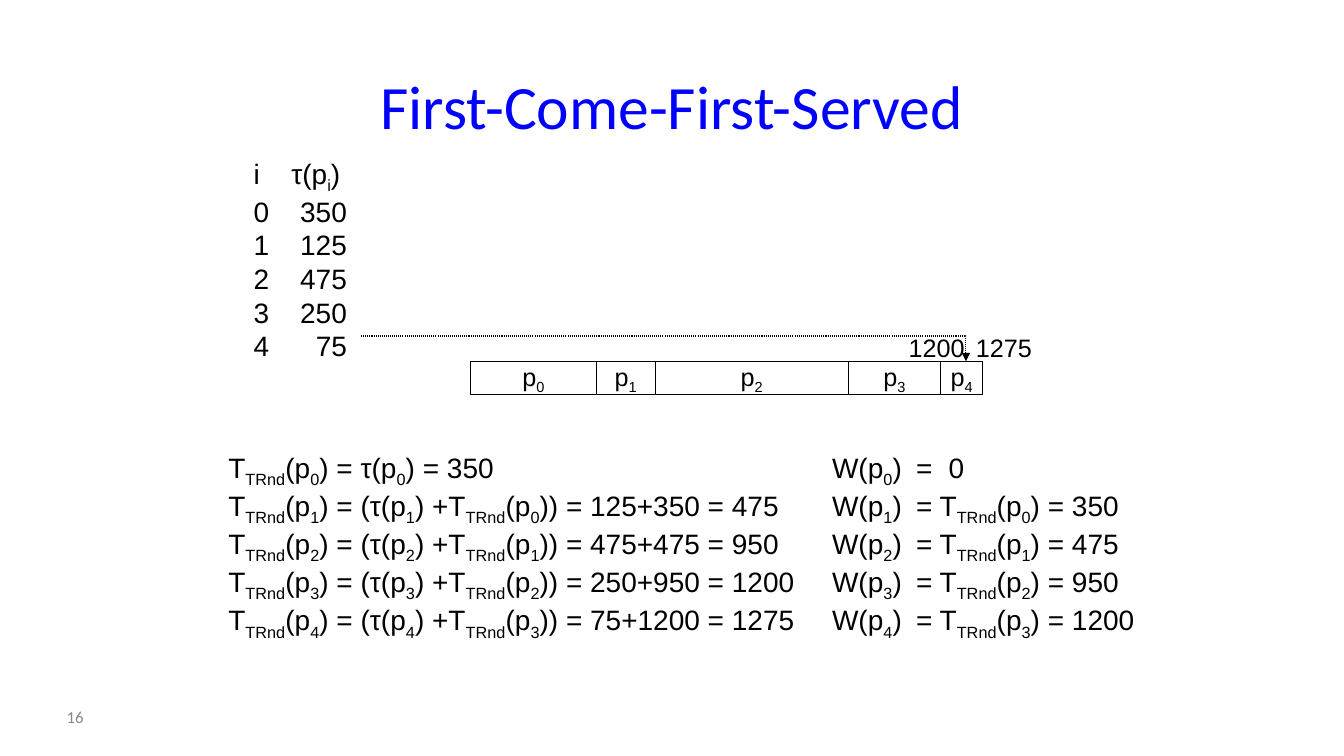
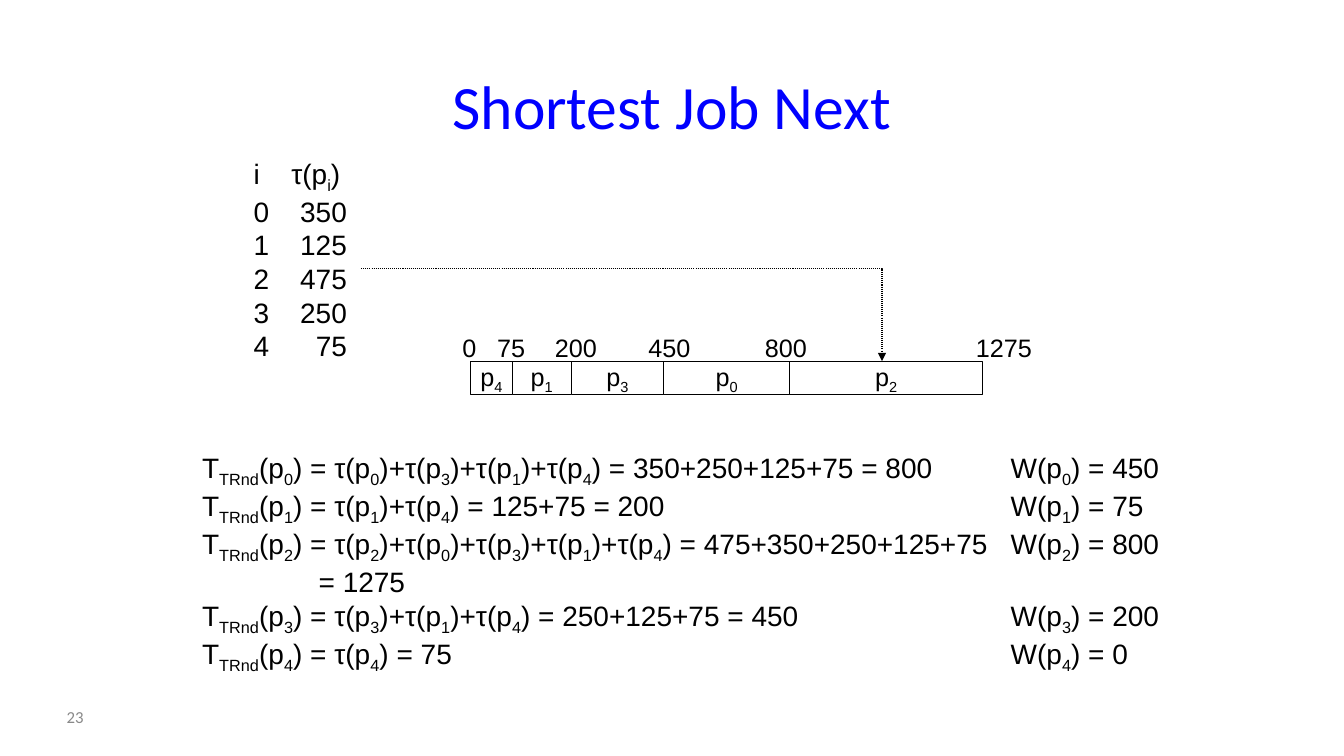
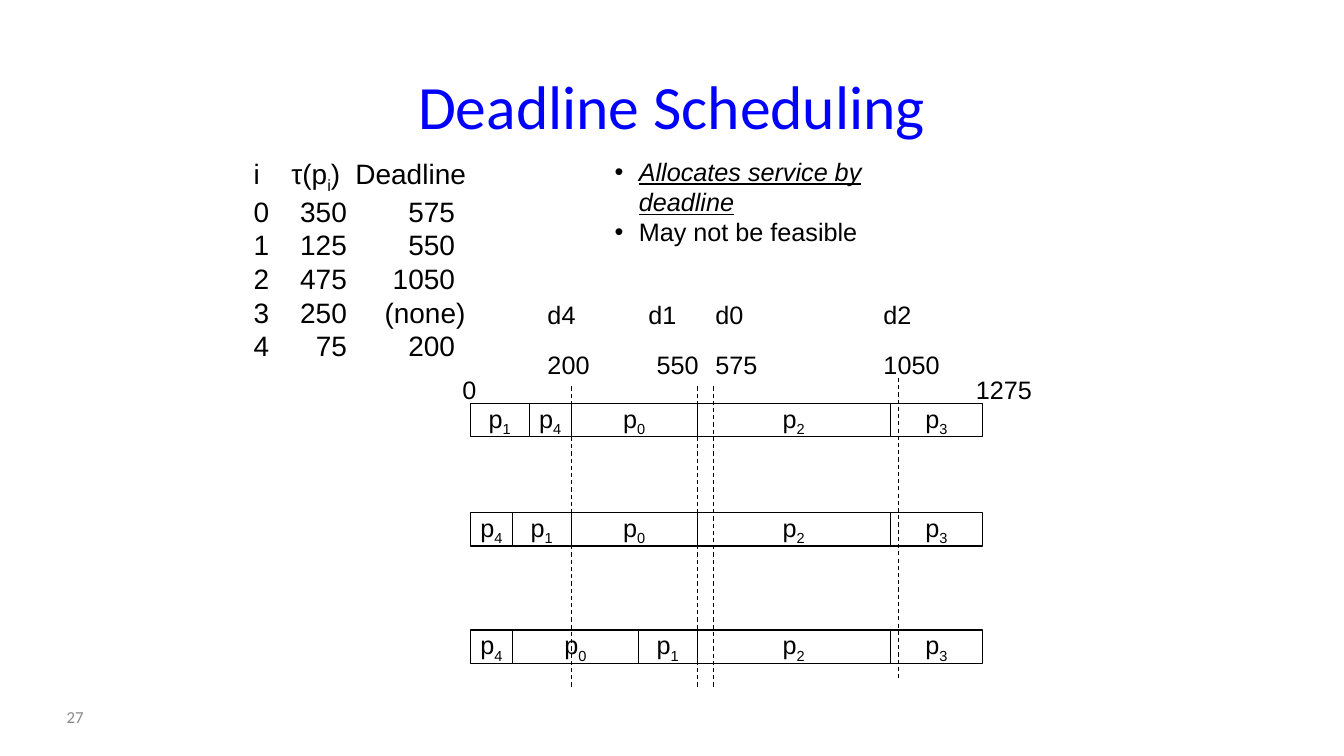
from dataclasses import dataclass
from itertools import accumulate
from typing import NamedTuple, Sequence

from lxml import etree
from pptx import Presentation
from pptx import util as u
from pptx.dml.color import RGBColor
from pptx.enum import dml, shapes, text
from pptx.oxml import ns
from pptx.slide import Slide
from pptx.text.text import TextFrame

PX = 9525
BLACK = RGBColor(0x00, 0x00, 0x00)
WHITE = RGBColor(0xFF, 0xFF, 0xFF)
BLUE = RGBColor(0x00, 0x00, 0xFF)
GREY = RGBColor(0x89, 0x89, 0x89)
BODY_FONT = "Arial"
TITLE_FONT = "Calibri"
LINE_WIDTH = u.Pt(0.75)

SERVICE_TIMES = (350, 125, 475, 250, 75)
DEADLINES = ("575", "550", "1050", "(none)", "200")
JOB_WIDTHS = (120, 56, 184, 88, 40)
BAR_LEFT = 448
BAR_HEIGHT = 32
BULLET_INDENT = 23
HEADER_TABS = ((36, "l"), (97, "l"))
NUMBER_TABS = ((89, "r"), (192, "r"))
NONE_TABS = ((89, "r"), (202, "r"))
EQUALS_TABS = ((80, "l"), (111, "l"))
CONTINUATION_TABS = ((111, "l"),)


class Box(NamedTuple):
    left: int
    top: int
    width: int
    height: int

    def emu(self) -> list[int]:
        return [px(length) for length in self]


class TimeMark(NamedTuple):
    left: int
    top: int
    label: str


class Deadline(NamedTuple):
    job: str
    time: str
    job_left: int
    time_left: int
    line_x: int
    line_top: int


@dataclass(frozen=True)
class Line:
    content: str
    tabs: Sequence[tuple[int, str]] = ()
    space_before: int = 0
    bullet: bool = False
    emphasis: bool = False


def px(length: int) -> int:
    return u.Emu(length * PX)


def sub(parent: etree._Element, tag: str, **attributes: str) -> etree._Element:
    return etree.SubElement(parent, ns.qn(tag), attributes)


def write_text(frame: TextFrame, lines: Sequence[Line], *, size: int = 20,
               font: str = BODY_FONT, color: RGBColor = BLACK,
               align: text.PP_ALIGN = text.PP_ALIGN.LEFT,
               anchor: text.MSO_ANCHOR = text.MSO_ANCHOR.TOP, wrap: bool = True) -> None:
    frame.word_wrap = wrap
    frame.vertical_anchor = anchor
    for index, line in enumerate(lines):
        paragraph = frame.add_paragraph() if index else frame.paragraphs[0]
        paragraph.alignment = align
        if line.space_before:
            paragraph.space_before = u.Pt(line.space_before)
        properties = paragraph._p.get_or_add_pPr()
        if line.bullet:
            properties.set("marL", str(px(BULLET_INDENT)))
            properties.set("indent", str(-px(BULLET_INDENT)))
            sub(properties, "a:buFont", typeface=BODY_FONT)
            sub(properties, "a:buChar", char="•")
        if line.tabs:
            tab_list = sub(properties, "a:tabLst")
            for position, side in line.tabs:
                sub(tab_list, "a:tab", pos=str(px(position)), algn=side)
        for part, piece in enumerate(line.content.replace("]", "[").split("[")):
            if not piece:
                continue
            run = paragraph.add_run()
            run.text = piece
            run.font.size = u.Pt(size)
            run.font.name = font
            run.font.color.rgb = color
            if line.emphasis:
                run.font.italic = True
                run.font.underline = True
            if part % 2:
                run._r.get_or_add_rPr().set("baseline", "-25000")


def add_text(slide: Slide, box: Box, *lines: Line, **style) -> None:
    write_text(slide.shapes.add_textbox(*box.emu()).text_frame, lines, **style)


def add_slide(deck: Presentation, title: str, number: int) -> Slide:
    slide = deck.slides.add_slide(deck.slide_layouts[6])
    add_text(slide, Box(232, 64, 816, 72), Line(title), size=44, font=TITLE_FONT,
             color=BLUE, align=text.PP_ALIGN.CENTER, anchor=text.MSO_ANCHOR.MIDDLE)
    add_text(slide, Box(54, 664, 138, 38), Line(str(number)), size=12, font=TITLE_FONT,
             color=GREY, anchor=text.MSO_ANCHOR.MIDDLE)
    return slide


def add_job_list(slide: Slide, with_deadlines: bool = False) -> None:
    header = "i\tτ(p[i])" + ("\tDeadline" if with_deadlines else "")
    lines = [Line(header, HEADER_TABS)]
    for job, (time, deadline) in enumerate(zip(SERVICE_TIMES, DEADLINES)):
        row = f"{job}\t{time}" + (f"\t{deadline}" if with_deadlines else "")
        lines.append(Line(row, NONE_TABS if deadline == "(none)" else NUMBER_TABS))
    add_text(slide, Box(232, 144, 230 if with_deadlines else 120, 204), *lines)


def add_gantt_bar(slide: Slide, top: int, order: Sequence[int]) -> None:
    left = BAR_LEFT
    for job in order:
        box = Box(left, top, JOB_WIDTHS[job], BAR_HEIGHT)
        block = slide.shapes.add_shape(shapes.MSO_SHAPE.RECTANGLE, *box.emu())
        block.shadow.inherit = False
        block.fill.solid()
        block.fill.fore_color.rgb = WHITE
        block.line.color.rgb = BLACK
        block.line.width = LINE_WIDTH
        write_text(block.text_frame, [Line(f"p[{job}]")], size=18, wrap=False,
                   align=text.PP_ALIGN.CENTER, anchor=text.MSO_ANCHOR.MIDDLE)
        left += JOB_WIDTHS[job]


def add_time_marks(slide: Slide, *marks: TimeMark) -> None:
    for mark in marks:
        box = Box(mark.left, mark.top, 20 + 14 * len(mark.label), 38)
        add_text(slide, box, Line(mark.label), size=18)


def add_job_arrow(slide: Slide, top: int, right: int) -> None:
    builder = slide.shapes.build_freeform(px(344), px(top))
    builder.add_line_segments([(px(right), px(top)), (px(right), px(344))], close=False)
    arrow = builder.convert_to_shape()
    arrow.shadow.inherit = False
    arrow.fill.background()
    arrow.line.color.rgb = BLACK
    arrow.line.width = LINE_WIDTH
    arrow.line.dash_style = dml.MSO_LINE.ROUND_DOT
    sub(arrow.line._get_or_add_ln(), "a:tailEnd", type="triangle")


def add_deadline_line(slide: Slide, x: int, top: int) -> None:
    line = slide.shapes.add_connector(shapes.MSO_CONNECTOR.STRAIGHT,
                                      px(x), px(top), px(x), px(top + 288))
    line.line.color.rgb = BLACK
    line.line.width = LINE_WIDTH
    line.line.dash_style = dml.MSO_LINE.DASH
    sub(line._element.spPr, "a:effectLst")


def build_first_come(deck: Presentation) -> None:
    slide = add_slide(deck, "First-Come-First-Served", 16)
    add_job_list(slide)
    add_gantt_bar(slide, 344, range(5))
    finish = list(accumulate(SERVICE_TIMES))
    turnarounds = [Line("T[TRnd](p[0]) = τ(p[0]) = 350")]
    waits = [Line("W(p[0])\t=\t0", EQUALS_TABS)]
    for job in range(1, 5):
        previous = f"T[TRnd](p[{job - 1}])"
        total = f"{SERVICE_TIMES[job]}+{finish[job - 1]} = {finish[job]}"
        turnarounds.append(Line(f"T[TRnd](p[{job}]) = (τ(p[{job}]) +{previous}) = {total}"))
        waits.append(Line(f"W(p[{job}])\t= {previous} = {finish[job - 1]}", EQUALS_TABS))
    add_text(slide, Box(208, 424, 578, 171), *turnarounds)
    add_text(slide, Box(783, 424, 319, 171), *waits)
    add_job_arrow(slide, 320, 920)
    add_time_marks(slide, TimeMark(856, 312, "1200"), TimeMark(920, 312, "1275"))


def build_shortest_job(deck: Presentation) -> None:
    slide = add_slide(deck, "Shortest Job Next", 23)
    add_job_list(slide)
    add_gantt_bar(slide, 344, (4, 1, 3, 0, 2))
    add_text(
        slide, Box(183, 424, 791, 204),
        Line("T[TRnd](p[0]) = τ(p[0])+τ(p[3])+τ(p[1])+τ(p[4]) = 350+250+125+75 = 800"),
        Line("T[TRnd](p[1]) = τ(p[1])+τ(p[4]) = 125+75 = 200"),
        Line("T[TRnd](p[2]) = τ(p[2])+τ(p[0])+τ(p[3])+τ(p[1])+τ(p[4]) = 475+350+250+125+75"),
        Line("\t= 1275", CONTINUATION_TABS),
        Line("T[TRnd](p[3]) = τ(p[3])+τ(p[1])+τ(p[4]) = 250+125+75 = 450"),
        Line("T[TRnd](p[4]) = τ(p[4]) = 75"))
    waits = [Line(f"W(p[{job}]) = {wait}", space_before=24 if job == 3 else 0)
             for job, wait in enumerate((450, 75, 800, 200, 0))]
    add_text(slide, Box(953, 424, 163, 204), *waits)
    add_time_marks(slide, TimeMark(431, 312, "0"), TimeMark(464, 312, "75"),
                   TimeMark(519, 312, "200"), TimeMark(608, 312, "450"),
                   TimeMark(719, 312, "800"), TimeMark(920, 312, "1275"))
    add_job_arrow(slide, 256, 840)


def build_deadline(deck: Presentation) -> None:
    slide = add_slide(deck, "Deadline Scheduling", 27)
    add_job_list(slide, with_deadlines=True)
    add_text(slide, Box(576, 144, 340, 68),
             Line("Allocates service by deadline", bullet=True, emphasis=True),
             Line("May not be feasible", bullet=True), size=18)
    schedules = {384: (1, 4, 0, 2, 3), 488: (4, 1, 0, 2, 3), 600: (4, 0, 1, 2, 3)}
    for top, order in schedules.items():
        add_gantt_bar(slide, top, order)
    add_time_marks(slide, TimeMark(431, 352, "0"), TimeMark(920, 352, "1275"))
    for deadline in (Deadline("d4", "200", 512, 512, 544, 368),
                     Deadline("d1", "550", 608, 616, 664, 368),
                     Deadline("d0", "575", 672, 672, 680, 368),
                     Deadline("d2", "1050", 832, 832, 856, 360)):
        add_time_marks(slide, TimeMark(deadline.job_left, 280, deadline.job),
                       TimeMark(deadline.time_left, 328, deadline.time))
        add_deadline_line(slide, deadline.line_x, deadline.line_top)


def main() -> None:
    deck = Presentation()
    deck.slide_width, deck.slide_height = px(1280), px(720)
    build_first_come(deck)
    build_shortest_job(deck)
    build_deadline(deck)
    deck.save("out.pptx")


if __name__ == "__main__":
    main()
